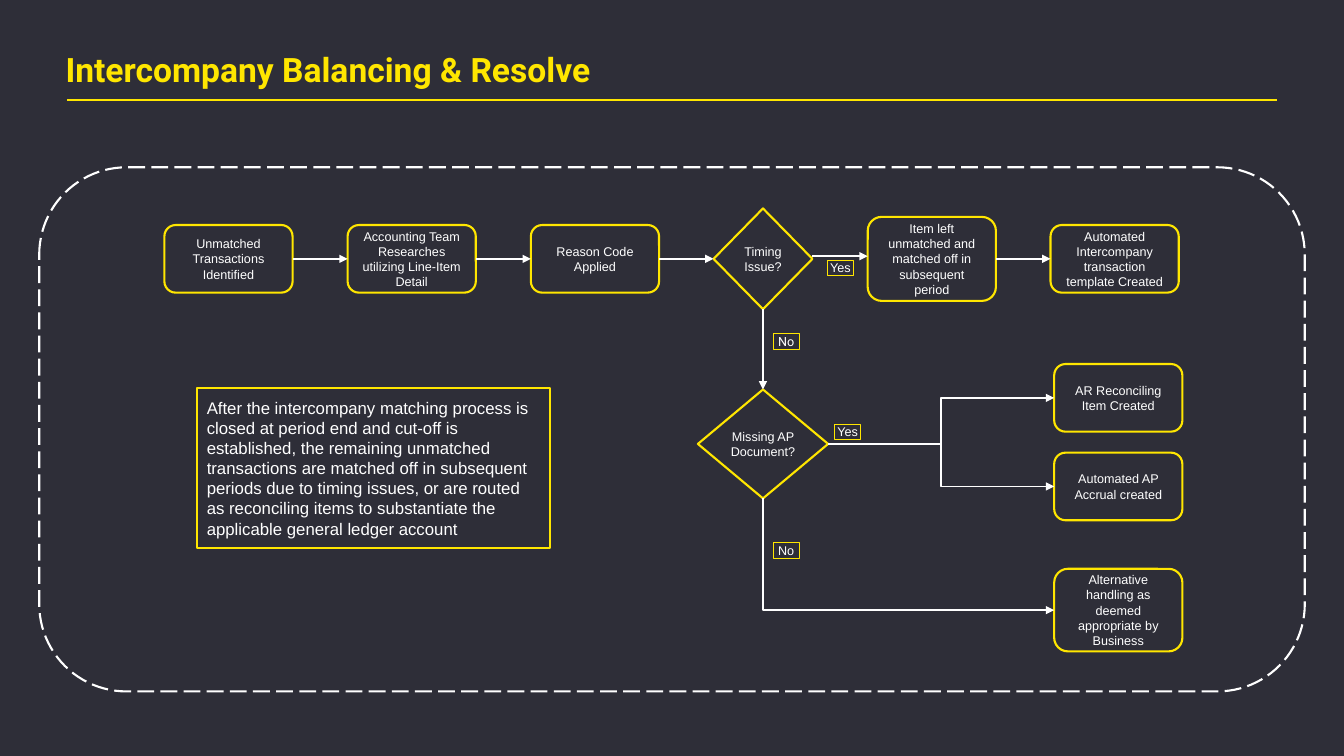
from lxml import etree
from pptx import Presentation
from pptx.dml.color import RGBColor
from pptx.enum.dml import MSO_LINE
from pptx.enum.shapes import MSO_CONNECTOR, MSO_SHAPE
from pptx.enum.text import MSO_ANCHOR, PP_ALIGN
from pptx.oxml.ns import qn
from pptx.util import Pt

STRAIGHT, ELBOW = MSO_CONNECTOR.STRAIGHT, MSO_CONNECTOR.ELBOW
RECT, ROUND, DIAMOND = MSO_SHAPE.RECTANGLE, MSO_SHAPE.ROUNDED_RECTANGLE, MSO_SHAPE.DIAMOND
LONG_DASH = MSO_LINE.LONG_DASH
TOP, MIDDLE = MSO_ANCHOR.TOP, MSO_ANCHOR.MIDDLE
LEFT, CENTER = PP_ALIGN.LEFT, PP_ALIGN.CENTER

DARK, YELLOW, WHITE = "2E2E38", "FFE600", "FFFFFF"
NODE_W, NODE_H = 91.6, 48.3
ROW_Y = 184.9
DECISION_X = 545
OUTCOME_X = 753
SUMMARY = (
    "After the intercompany matching process is closed at period end and cut-off is "
    "established, the remaining unmatched transactions are matched off in subsequent "
    "periods due to timing issues, or are routed as reconciling items to substantiate "
    "the applicable general ledger account"
)


def rgb(color):
    """Turn a hex string into a colour."""
    return RGBColor.from_string(color)


def write(sp, text, size, font="Arial", color=WHITE, align=CENTER, anchor=MIDDLE, inset=None):
    """Put one wrapped paragraph into a shape and return it."""
    tf = sp.text_frame
    tf.word_wrap = True
    tf.vertical_anchor = anchor
    if inset is not None:
        tf.margin_left = tf.margin_top = tf.margin_right = tf.margin_bottom = Pt(inset)
    p = tf.paragraphs[0]
    p.text = text
    p.alignment = align
    p.font.size = Pt(size)
    p.font.name = font
    p.font.color.rgb = rgb(color)
    return p


def add_outline(s, kind, x, y, w, h, color=YELLOW, width=1.5):
    """Add an unfilled outlined shape."""
    sp = s.shapes.add_shape(kind, Pt(x), Pt(y), Pt(w), Pt(h))
    sp.shadow.inherit = False
    sp.fill.background()
    sp.line.color.rgb = rgb(color)
    sp.line.width = Pt(width)
    return sp


def add_node(s, x, mid_y, text, h=NODE_H):
    """Add a rounded process step centred on a height."""
    sp = add_outline(s, ROUND, x, mid_y - h / 2, NODE_W, h)
    write(sp, text, 9)
    return sp


def add_decision(s, mid_y, w, h, text):
    """Add a decision diamond in the decision column."""
    sp = add_outline(s, DIAMOND, DECISION_X - w / 2, mid_y - h / 2, w, h)
    write(sp, text, 9, inset=0)
    return sp


def add_label(s, x, y, text, font="Arial"):
    """Add a small answer tag beside a connector."""
    sp = add_outline(s, RECT, x, y, 18.7, 11.2, width=0.75)
    write(sp, text, 9, font, anchor=TOP, inset=0)


def add_line(s, x1, y1, x2, y2, kind=STRAIGHT, color=WHITE, width=1, arrow=True):
    """Add a connector, with an arrowhead at its end if wanted."""
    c = s.shapes.add_connector(kind, Pt(x1), Pt(y1), Pt(x2), Pt(y2))
    c.line.color.rgb = rgb(color)
    c.line.width = Pt(width)
    if arrow:
        etree.SubElement(c.line._get_or_add_ln(), qn("a:tailEnd"), type="triangle")
    etree.SubElement(c._element.spPr, qn("a:effectLst"))
    return c


def join(s, first, first_side, second, second_side):
    """Join two shapes with a straight arrow."""
    c = add_line(s, 0, 0, 0, 0)
    c.begin_connect(first, first_side)
    c.end_connect(second, second_side)


def add_down_right(s, x1, y1, x2, y2):
    """Add an arrow that runs down and then right, as a turned one-bend connector."""
    mid_x, mid_y = (x1 + x2) / 2, (y1 + y2) / 2
    half_w, half_h = (x2 - x1) / 2, (y2 - y1) / 2
    c = add_line(s, mid_x + half_h, mid_y - half_w, mid_x - half_h, mid_y + half_w, ELBOW)
    spPr = c._element.spPr
    spPr.find(qn("a:xfrm")).set("rot", str(270 * 60000))
    spPr.find(qn("a:prstGeom")).set("prst", "bentConnector2")


def add_heading(s):
    """Add the title and the rule under it."""
    sp = s.shapes.add_textbox(Pt(46.8), Pt(34.6), Pt(649.4), Pt(26))
    p = write(sp, "Intercompany Balancing & Resolve", 24, "Roboto", YELLOW, LEFT, TOP, 0)
    p.font.bold = True
    add_line(s, 48, 71.3, 912, 71.3, color=YELLOW, width=1.5, arrow=False)


def add_flow(s):
    """Add the steps, decisions, answers and arrows."""
    steps = ["Unmatched Transactions Identified",
             "Accounting Team Researches utilizing Line-Item Detail",
             "Reason Code Applied"]
    chain = [add_node(s, 117.4 + 130.9 * i, ROW_Y, text) for i, text in enumerate(steps)]
    timing = add_decision(s, ROW_Y, 70.6, 72, "Timing Issue?")
    chain.append(timing)
    for first, second in zip(chain, chain[1:]):
        join(s, first, 3, second, 1)

    left_item = add_node(s, 619.8, ROW_Y,
                         "Item left unmatched and matched off in subsequent period", 60)
    template = add_node(s, 750.4, ROW_Y, "Automated Intercompany transaction template Created")
    add_line(s, 580.3, 183, 619.8, 183)
    join(s, left_item, 3, template, 1)

    missing_y, missing_w, missing_h = 317.1, 93, 77.8
    missing = add_decision(s, missing_y, missing_w, missing_h, "Missing AP Document?")
    join(s, timing, 2, missing, 0)

    outcomes = [(284.2, "AR Reconciling Item Created"),
                (347.5, "Automated AP Accrual created")]
    for y, text in outcomes:
        add_node(s, OUTCOME_X, y, text)
        add_line(s, DECISION_X + missing_w / 2, missing_y, OUTCOME_X, y, ELBOW)
    other_y = 435.8
    add_node(s, OUTCOME_X, other_y, "Alternative handling as deemed appropriate by Business", 59)
    add_down_right(s, DECISION_X, missing_y + missing_h / 2, OUTCOME_X, other_y)

    add_label(s, 552.2, 238.3, "No", "Roboto")
    add_label(s, 552.2, 387.8, "No")
    add_label(s, 596.2, 302.9, "Yes")
    add_label(s, 591, 185.8, "Yes")


def main():
    """Build and save the slide."""
    prs = Presentation()
    prs.slide_width, prs.slide_height = Pt(960), Pt(540)
    s = prs.slides.add_slide(prs.slide_layouts[6])
    s.background.fill.solid()
    s.background.fill.fore_color.rgb = rgb(DARK)
    add_heading(s)
    frame = add_outline(s, ROUND, 28, 119.5, 904, 374.4, WHITE)
    frame.line.dash_style = LONG_DASH
    add_flow(s)
    summary = add_outline(s, RECT, 140.6, 277.2, 252.2, 114)
    write(summary, SUMMARY, 12, align=LEFT)
    prs.save("out.pptx")


if __name__ == "__main__":
    main()
